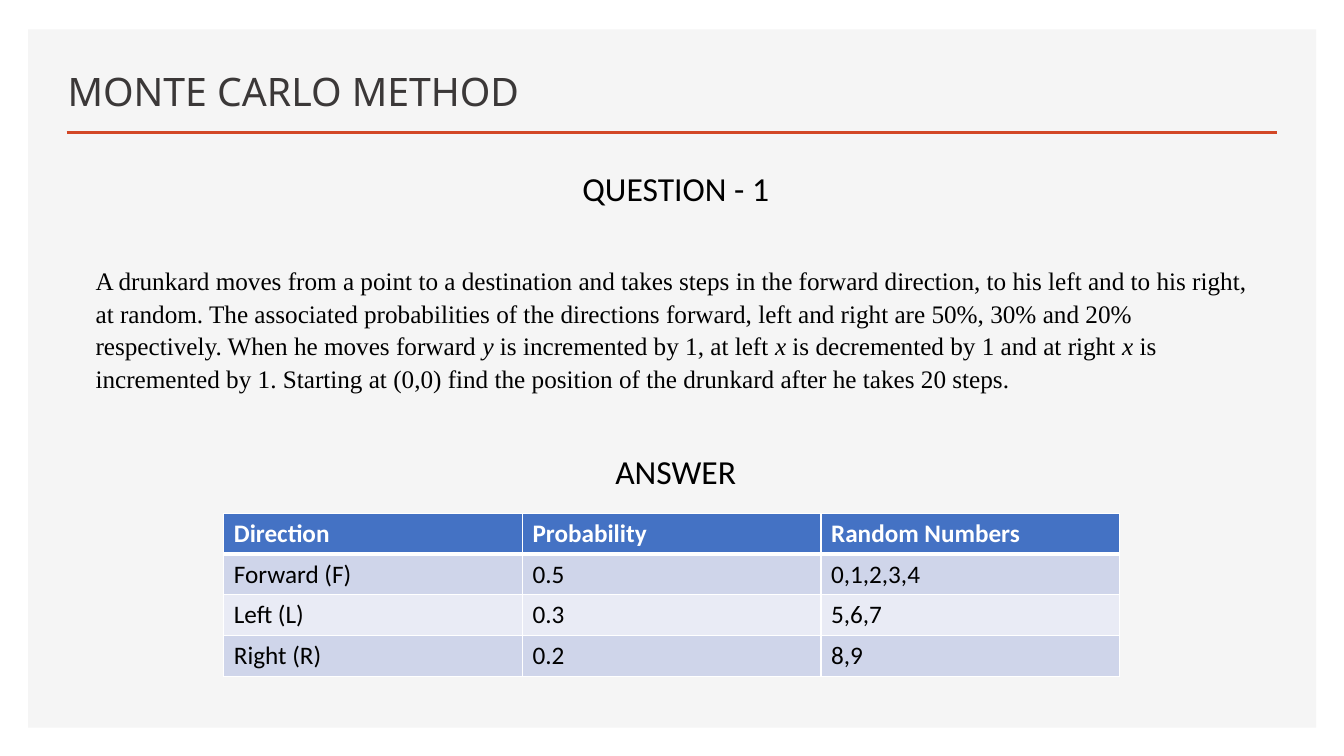
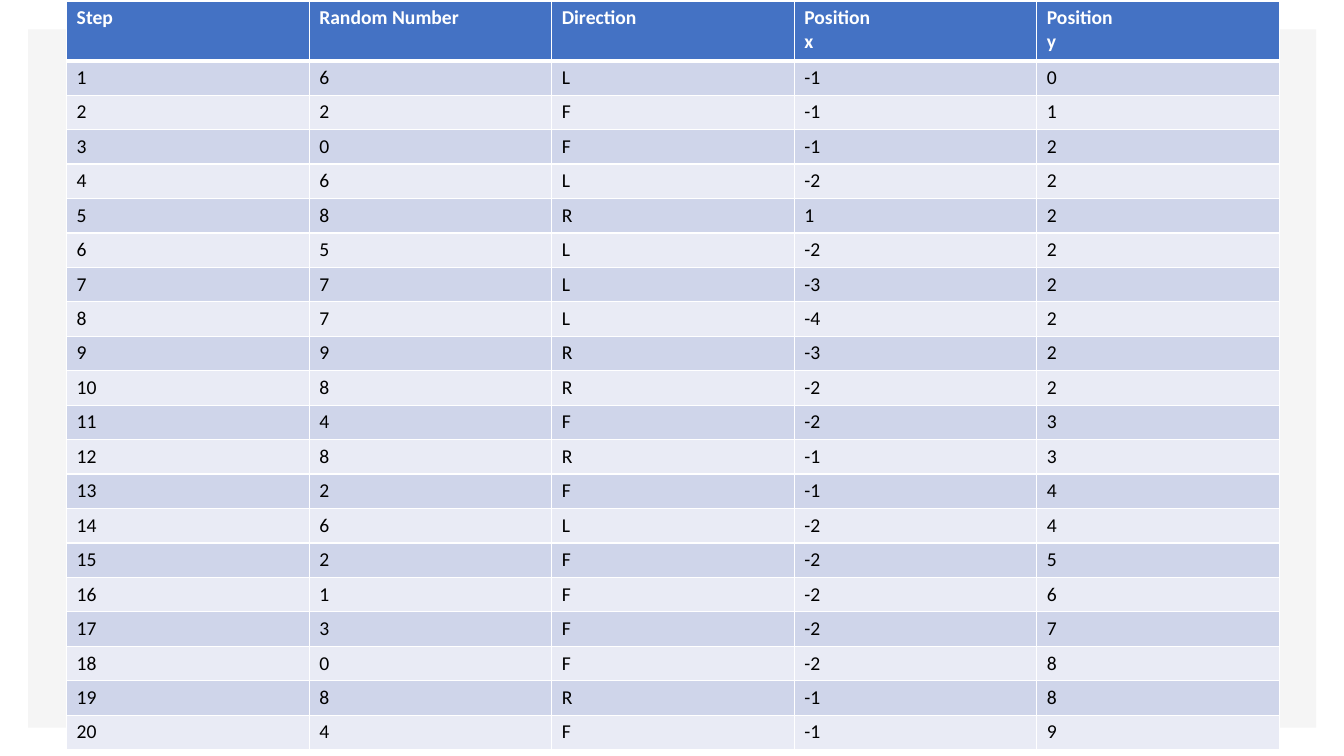
from dataclasses import dataclass
from itertools import accumulate

from lxml import etree
from pptx import Presentation
from pptx.dml.color import RGBColor
from pptx.enum.shapes import MSO_CONNECTOR, MSO_SHAPE
from pptx.enum.text import MSO_ANCHOR, MSO_AUTO_SIZE, PP_ALIGN
from pptx.oxml.ns import qn
from pptx.util import Cm, Pt

RECTANGLE = MSO_SHAPE.RECTANGLE
STRAIGHT = MSO_CONNECTOR.STRAIGHT
BOTTOM = MSO_ANCHOR.BOTTOM
NO_AUTOFIT = MSO_AUTO_SIZE.NONE
LEFT, CENTER = PP_ALIGN.LEFT, PP_ALIGN.CENTER
TITLE_ONLY = 5


@dataclass(frozen=True)
class Theme:
    """Colours, fonts and type sizes of the presentation."""
    panel: str = "F5F5F5"
    accent: str = "D24726"
    title: str = "3B3838"
    text: str = "000000"
    white: str = "FFFFFF"
    header: str = "4472C4"
    bands: tuple = ("CFD5EA", "E9EBF5")
    title_font: str = "Noto Sans"
    heading_font: str = "Calibri"
    body_font: str = "Times New Roman"
    title_size: int = 28
    heading_size: int = 24
    body_size: int = 18
    small_size: int = 14


@dataclass(frozen=True)
class Box:
    """A region of the slide in centimetres."""
    left: float
    top: float
    width: float
    height: float

    def lengths(self):
        """Return left, top, width and height as lengths."""
        return Cm(self.left), Cm(self.top), Cm(self.width), Cm(self.height)


THEME = Theme()
PANEL = Box(0.71, 0.74, 32.46, 17.6)
RULE = Box(1.68, 3.33, 30.5, 0)
TITLE = Box(1.45, 1.24, 19.1, 1.78)
QUESTION = Box(2.16, 4.04, 29.74, 9.86)
ANSWER_TABLE = Box(5.64, 12.93, 22.58, 4.12)
STEP_TABLE = Box(1.68, 0.03, 30.56, 18.87)
STEP_HEADER_HEIGHT = 1.5

# Asterisks enclose the italic words.
QUESTION_TEXT = (
    "A drunkard moves from a point to a destination and takes steps in the "
    "forward direction, to his left and to his right, at random. The "
    "associated probabilities of the directions forward, left and right are "
    "50%, 30% and 20% respectively. When he moves forward *y* is incremented "
    "by 1, at left *x* is decremented by 1 and at right *x* is incremented by "
    "1. Starting at (0,0) find the position of the drunkard after he takes 20 "
    "steps."
)
ANSWER_ROWS = [
    ("Direction", "Probability", "Random Numbers"),
    ("Forward (F)", "0.5", "0,1,2,3,4"),
    ("Left (L)", "0.3", "5,6,7"),
    ("Right (R)", "0.2", "8,9"),
]
STEP_HEADINGS = ("Step", "Random Number", "Direction",
                 "Position\nx", "Position\ny")
DIRECTIONS = "FFFFFLLLRR"
RANDOM_NUMBERS = [6, 2, 0, 6, 8, 5, 7, 7, 9, 8, 4, 8, 2, 6, 2, 1, 3, 0, 8, 4]
X_POSITIONS = [-1, -1, -1, -2, 1, -2, -3, -4, -3, -2,
               -2, -1, -1, -2, -2, -2, -2, -2, -1, -1]


def format_runs(paragraph, font, size, color, bold=False):
    """Give every run of a paragraph the same type style."""
    for run in paragraph.runs:
        run.font.name = font
        run.font.size = Pt(size)
        run.font.bold = bold
        run.font.color.rgb = RGBColor.from_string(color)


def add_layout_frame(slide, panel, rule):
    """Draw the panel and title rule, then move them behind the layout."""
    shape = slide.shapes.add_shape(RECTANGLE, *panel.lengths())
    shape.shadow.inherit = False
    shape.fill.solid()
    shape.fill.fore_color.rgb = RGBColor.from_string(THEME.panel)
    shape.line.fill.background()

    left, top, width, height = rule.lengths()
    line = slide.shapes.add_connector(STRAIGHT, left, top,
                                      left + width, top + height)
    line.line.color.rgb = RGBColor.from_string(THEME.accent)
    line.line.width = Pt(2)
    etree.SubElement(line.element.spPr, qn("a:effectLst"))

    layout_tree = slide.slide_layout.shapes.element
    for position, part in enumerate((shape, line), start=2):
        layout_tree.insert(position, part.element)


def set_title(slide, box, text):
    """Place and style the title placeholder."""
    title = slide.shapes.title
    title.left, title.top, title.width, title.height = box.lengths()
    frame = title.text_frame
    frame.text = text
    frame.auto_size = NO_AUTOFIT
    frame.vertical_anchor = BOTTOM
    paragraph = frame.paragraphs[0]
    paragraph.alignment = LEFT
    paragraph.line_spacing = 0.9
    format_runs(paragraph, THEME.title_font, THEME.title_size, THEME.title)


def add_question(slide, box):
    """Write the question between its two centred headings."""
    frame = slide.shapes.add_textbox(*box.lengths()).text_frame
    frame.word_wrap = True
    heading = frame.paragraphs[0]
    body, answer = frame.add_paragraph(), frame.add_paragraph()
    for paragraph in (heading, body, answer):
        paragraph.line_spacing = 1.07
        paragraph.space_after = Pt(8)
    for paragraph, text in ((heading, "QUESTION - 1"), (answer, "ANSWER")):
        paragraph.text = text
        paragraph.alignment = CENTER
        format_runs(paragraph, THEME.heading_font, THEME.heading_size,
                    THEME.text)
    for index, text in enumerate(QUESTION_TEXT.split("*")):
        run = body.add_run()
        run.text = text
        run.font.italic = index % 2 == 1
    format_runs(body, THEME.body_font, THEME.body_size, THEME.text)
    body.space_before = answer.space_before = Pt(31.5)


def set_borders(cell, row_index):
    """Draw white borders, with a thick one below the header row."""
    properties = cell._tc.get_or_add_tcPr()
    thick_side = {0: "lnB", 1: "lnT"}.get(row_index)
    for side in ("lnL", "lnR", "lnT", "lnB"):
        width = Pt(3 if side == thick_side else 1)
        line = etree.SubElement(properties, qn(f"a:{side}"), w=str(width))
        fill = etree.SubElement(line, qn("a:solidFill"))
        etree.SubElement(fill, qn("a:srgbClr"), val=THEME.white)


def add_banded_table(slide, box, rows, size, header_height):
    """Fill a box with a table of equal columns and banded rows."""
    column_count = len(rows[0])
    table = slide.shapes.add_table(len(rows), column_count,
                                   *box.lengths()).table
    for column in table.columns:
        column.width = Cm(box.width / column_count)
    row_height = (box.height - header_height) / (len(rows) - 1)
    for row_index, values in enumerate(rows):
        is_header = row_index == 0
        table.rows[row_index].height = Cm(
            header_height if is_header else row_height)
        fill = THEME.header if is_header else THEME.bands[(row_index - 1) % 2]
        color = THEME.white if is_header else THEME.text
        for column_index, value in enumerate(values):
            cell = table.cell(row_index, column_index)
            set_borders(cell, row_index)
            cell.fill.solid()
            cell.fill.fore_color.rgb = RGBColor.from_string(fill)
            cell.text_frame.text = str(value)
            for paragraph in cell.text_frame.paragraphs:
                format_runs(paragraph, THEME.heading_font, size, color,
                            is_header)


def step_rows():
    """Return the simulation table with its headings."""
    directions = [DIRECTIONS[number] for number in RANDOM_NUMBERS]
    y_positions = accumulate(int(step == "F") for step in directions)
    steps = range(1, len(RANDOM_NUMBERS) + 1)
    return [STEP_HEADINGS, *zip(steps, RANDOM_NUMBERS, directions,
                                X_POSITIONS, y_positions)]


def build_question_slide(slide):
    """Build the slide with the question and its probabilities."""
    set_title(slide, TITLE, "MONTE CARLO METHOD")
    add_question(slide, QUESTION)
    add_banded_table(slide, ANSWER_TABLE, ANSWER_ROWS, THEME.body_size,
                     ANSWER_TABLE.height / len(ANSWER_ROWS))


def build_steps_slide(slide):
    """Build the slide that holds only the simulation table."""
    title = slide.shapes.title.element
    title.getparent().remove(title)
    add_banded_table(slide, STEP_TABLE, step_rows(), THEME.small_size,
                     STEP_HEADER_HEIGHT)


def main():
    """Build and save the presentation."""
    presentation = Presentation()
    presentation.slide_width = Cm(33.87)
    presentation.slide_height = Cm(19.05)
    layout = presentation.slide_layouts[TITLE_ONLY]
    question_slide = presentation.slides.add_slide(layout)
    add_layout_frame(question_slide, PANEL, RULE)
    build_question_slide(question_slide)
    build_steps_slide(presentation.slides.add_slide(layout))
    presentation.save("out.pptx")


main()
